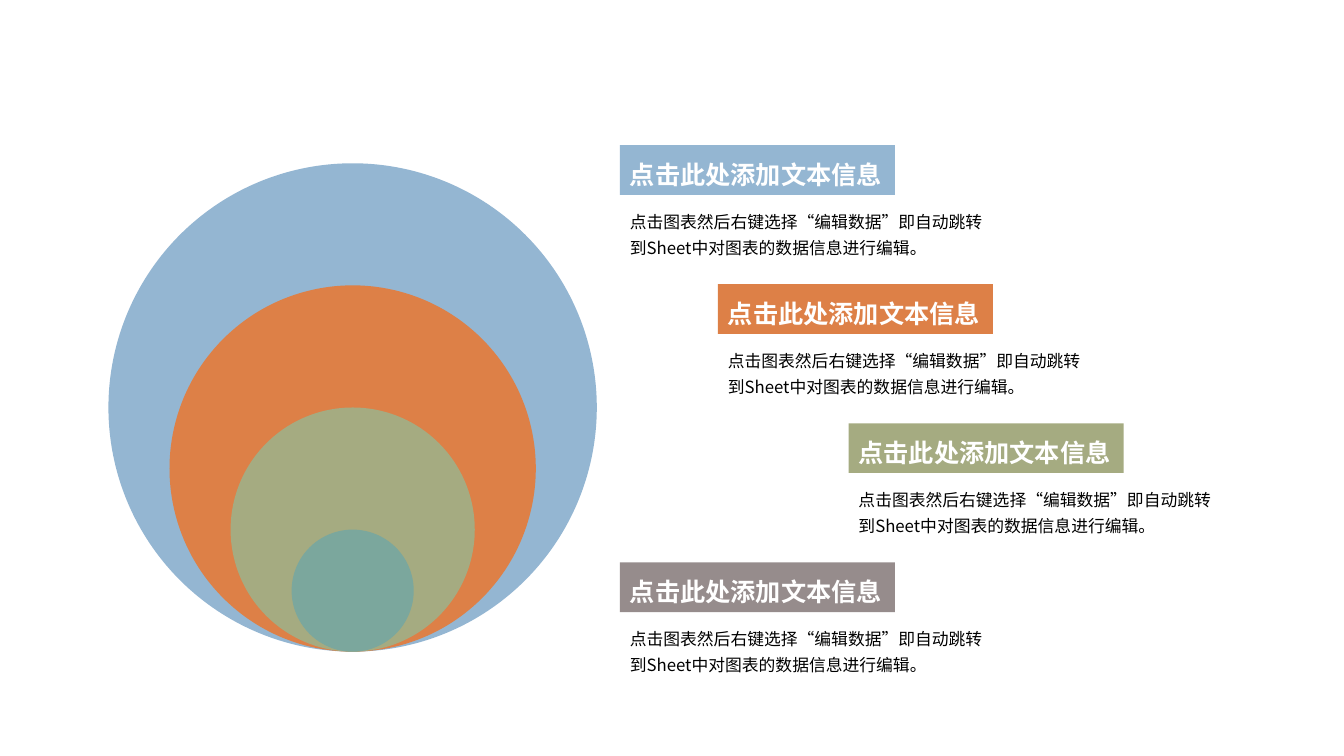
from dataclasses import dataclass

from lxml.etree import SubElement
from pptx import Presentation
from pptx.dml.color import RGBColor
from pptx.enum.shapes import MSO_SHAPE as Preset
from pptx.enum.text import MSO_ANCHOR as Anchor, MSO_AUTO_SIZE as AutoSize, PP_ALIGN as Align
from pptx.oxml.ns import qn
from pptx.shapes.autoshape import Shape
from pptx.shapes.shapetree import SlideShapes
from pptx.util import Inches, Pt

BLUE = RGBColor(0x94, 0xB6, 0xD2)
ORANGE = RGBColor(0xDD, 0x80, 0x47)
GREEN = RGBColor(0xA5, 0xAB, 0x81)
TEAL = RGBColor(0x7B, 0xA7, 0x9D)
GREY = RGBColor(0x96, 0x8C, 0x8C)
WHITE = RGBColor(0xFF, 0xFF, 0xFF)
BLACK = RGBColor(0x00, 0x00, 0x00)

FONT = "Noto Sans CJK SC"
HEADING = "点击此处添加文本信息"
DETAIL = "点击图表然后右键选择“编辑数据”即自动跳转到Sheet中对图表的数据信息进行编辑。"

SLIDE_WIDTH = Inches(13.333)
SLIDE_HEIGHT = Inches(7.5)

RING_COLOURS = (BLUE, ORANGE, GREEN, TEAL)
RING_CENTRE = 26.24
RING_BOTTOM = 86.2
RING_STEP = 16.15

FIRST_ROW = 19.2
ROW_STEP = 18.4
DETAIL_DROP = 7.33


@dataclass(frozen=True)
class Entry:
    left: float
    colour: RGBColor


ENTRIES = (
    Entry(46.13, BLUE),
    Entry(53.42, ORANGE),
    Entry(63.14, GREEN),
    Entry(46.13, GREY),
)


def across(percent: float) -> int:
    return round(SLIDE_WIDTH * percent / 100)


def down(percent: float) -> int:
    return round(SLIDE_HEIGHT * percent / 100)


def write(holder: Shape, text: str, *, size: float, colour: RGBColor,
          bold: bool = False, wrap: bool = True) -> None:
    frame = holder.text_frame
    frame.word_wrap = wrap
    frame.auto_size = AutoSize.SHAPE_TO_FIT_TEXT
    frame.vertical_anchor = Anchor.TOP
    paragraph = frame.paragraphs[0]
    paragraph.alignment = Align.LEFT
    paragraph.line_spacing = 1.3
    run = paragraph.add_run()
    run.text = text
    run.font.size = Pt(size)
    run.font.bold = bold
    run.font.color.rgb = colour
    run.font.name = FONT
    SubElement(run.font._element, qn("a:ea"), typeface=FONT)


def draw_filled(shapes: SlideShapes, preset: Preset, colour: RGBColor,
                left: int, top: int, width: int, height: int) -> Shape:
    figure = shapes.add_shape(preset, left, top, width, height)
    figure.shadow.inherit = False
    figure.fill.solid()
    figure.fill.fore_color.rgb = colour
    figure.line.fill.background()
    return figure


def draw_rings(shapes: SlideShapes) -> None:
    for index, colour in enumerate(RING_COLOURS):
        diameter = down(RING_STEP * (len(RING_COLOURS) - index))
        draw_filled(shapes, Preset.OVAL, colour, across(RING_CENTRE) - diameter // 2,
                    down(RING_BOTTOM) - diameter, diameter, diameter)


def draw_entry(shapes: SlideShapes, entry: Entry, row: int) -> None:
    left = across(entry.left)
    top = FIRST_ROW + row * ROW_STEP
    detail = shapes.add_textbox(left, down(top + DETAIL_DROP), across(27.75), down(8))
    write(detail, DETAIL, size=12, colour=BLACK)
    heading = draw_filled(shapes, Preset.RECTANGLE, entry.colour,
                          left, down(top), across(20.47), down(6.57))
    write(heading, HEADING, size=18, colour=WHITE, bold=True, wrap=False)


def main() -> None:
    deck = Presentation()
    deck.slide_width = SLIDE_WIDTH
    deck.slide_height = SLIDE_HEIGHT
    shapes = deck.slides.add_slide(deck.slide_layouts[6]).shapes
    draw_rings(shapes)
    for row, entry in enumerate(ENTRIES):
        draw_entry(shapes, entry, row)
    deck.save("out.pptx")


if __name__ == "__main__":
    main()
